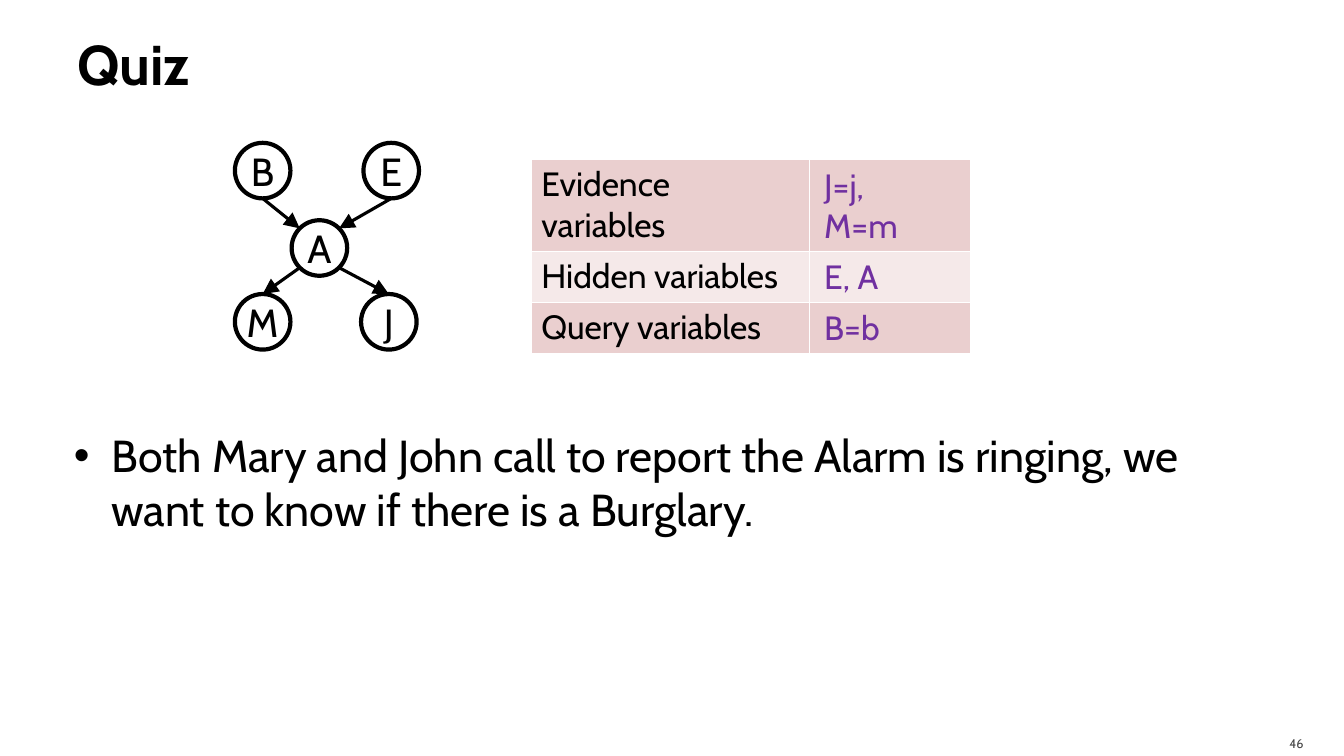
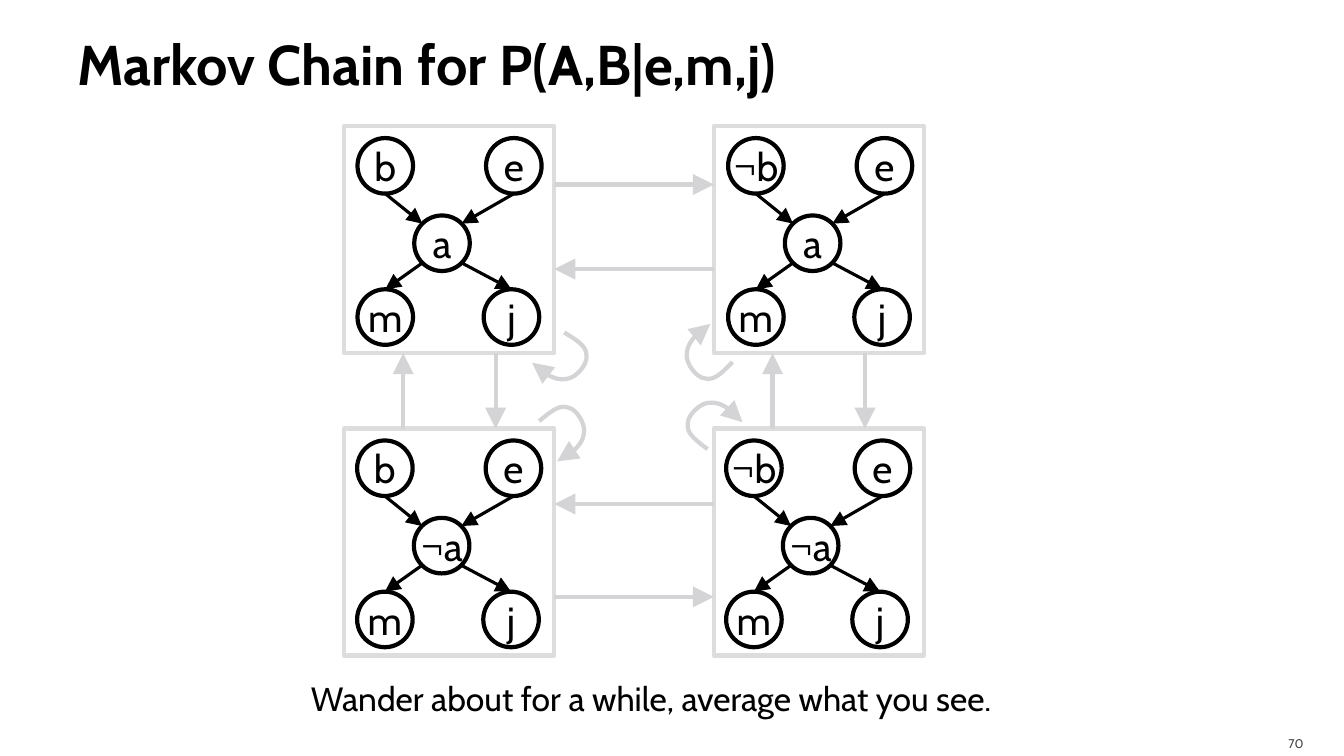
from itertools import accumulate
from math import sqrt

from lxml import etree
from pptx import Presentation
from pptx.dml.color import RGBColor
from pptx.enum import shapes, text
from pptx.oxml.ns import qn
from pptx.util import Cm, Pt

FONT = "Cabin"
HUES = {
    "ink": "000000", "page": "454545", "answer": "7030A0",
    "frame": "DDDDDD", "move": "D4D4D6", "white": "FFFFFF",
    "dark": "EACFCF", "light": "F5E9E9",
}
NODE = 1.4
SPOTS = [(0, 0), (3.24, 0), (1.43, 1.95), (0, 3.81), (3.18, 3.81)]
LOOP = [(0.81, 0), (1.25, 0.26), (1.37, 0.38), (1.37, 0.59), (1.4, 0.79),
        (1.12, 1.15), (0.86, 1.17), (0.64, 1.2), (0.08, 0.99), (0, 0.76)]
LEFT, ANCHOR = text.PP_ALIGN.LEFT, text.MSO_ANCHOR


def rgb(hue):
    return RGBColor.from_string(HUES[hue])


def size(*box):
    return [Cm(part) for part in box]


def write(frame, lines, pts, hue="ink", align=LEFT, bold=False):
    frame.text = lines
    for para in frame.paragraphs:
        para.alignment = align
        font = para.font
        font.name, font.size, font.bold = FONT, Pt(pts), bold
        font.color.rgb = rgb(hue)


def inset(frame, left, top, right, bottom):
    frame.margin_left, frame.margin_top = Cm(left), Cm(top)
    frame.margin_right, frame.margin_bottom = Cm(right), Cm(bottom)


def label(slide, box, lines, pts, **style):
    frame = slide.shapes.add_textbox(*size(*box)).text_frame
    frame.word_wrap = True
    write(frame, lines, pts, **style)
    return frame


def stroke(shape, hue, width):
    shape.line.color.rgb = rgb(hue)
    shape.line.width = Pt(width)


def point(shape):
    """Put a large arrowhead at the end of a line."""
    line = shape.element.spPr.find(qn("a:ln"))
    etree.SubElement(line, qn("a:tailEnd"), type="triangle", w="lg", len="lg")


def arrow(slide, start, end, hue, width):
    link = slide.shapes.add_connector(
        shapes.MSO_CONNECTOR.STRAIGHT, *size(*start, *end))
    stroke(link, hue, width)
    point(link)
    etree.SubElement(link.element.spPr, qn("a:effectLst"))


def outline(slide, kind, box, hue):
    shape = slide.shapes.add_shape(kind, *size(*box))
    shape.shadow.inherit = False
    shape.fill.background()
    stroke(shape, hue, 3)
    return shape


def net(slide, x, y, names):
    """Draw five nodes: two causes, the middle, two effects."""
    for name, (dx, dy) in zip(names, SPOTS):
        node = outline(slide, shapes.MSO_SHAPE.OVAL,
                       (x + dx, y + dy, NODE, NODE), "ink")
        frame = node.text_frame
        inset(frame, 0, 0, 0, 0)
        frame.word_wrap = False
        frame.vertical_anchor = ANCHOR.MIDDLE
        write(frame, name, 28, align=text.PP_ALIGN.CENTER)
    half = NODE / 2
    reach = half / sqrt(2)
    mid = [x + SPOTS[2][0] + half, y + SPOTS[2][1] + half]
    for spot, side in ((0, -1), (1, 1), (3, -1), (4, 1)):
        dx, dy = SPOTS[spot]
        rim = mid[0] + side * reach
        if spot < 2:
            ends = (x + dx + half, y + dy + NODE), (rim, mid[1] - reach)
        else:
            ends = (rim, mid[1] + reach), (x + dx + half, y + dy)
        arrow(slide, *ends, "ink", 2.25)


def loop(slide, x, y, turn):
    """Draw a curved arrow from a state back to itself."""
    dots = [(Cm(dx), Cm(dy)) for dx, dy in LOOP]
    pen = slide.shapes.build_freeform(*dots[0])
    pen.add_line_segments(dots[1:], close=False)
    curl = pen.convert_to_shape(Cm(x), Cm(y))
    trail = curl.element.find(".//" + qn("a:path"))
    steps = trail.findall(qn("a:lnTo"))
    for first in range(0, len(steps), 3):
        bend = etree.SubElement(trail, qn("a:cubicBezTo"))
        for step in steps[first:first + 3]:
            bend.append(step[0])
            trail.remove(step)
    curl.rotation = turn
    curl.shadow.inherit = False
    curl.fill.background()
    stroke(curl, "move", 3)
    point(curl)


def border(cell):
    props = cell._tc.get_or_add_tcPr()
    for side in "LRTB":
        line = etree.SubElement(props, qn("a:ln" + side), w=str(Pt(1)))
        fill = etree.SubElement(line, qn("a:solidFill"))
        etree.SubElement(fill, qn("a:srgbClr"), val=HUES["white"])


def roles(slide, x, y, rows):
    """Draw the table of variables with the answers laid over it."""
    wide, high = [7.01, 4.06], [2.31, 1.29, 1.29]
    grid = slide.shapes.add_table(
        len(rows), 2, *size(x, y, sum(wide), sum(high))).table
    grid.first_row = grid.horz_banding = False
    for col, width in zip(grid.columns, wide):
        col.width = Cm(width)
    tops = accumulate(high, initial=y)
    for i, ((role, answer), top) in enumerate(zip(rows, tops)):
        grid.rows[i].height = Cm(high[i])
        for cell in grid.rows[i].cells:
            border(cell)
            cell.fill.solid()
            cell.fill.fore_color.rgb = rgb("light" if i % 2 else "dark")
        write(grid.cell(i, 0).text_frame, role, 24)
        label(slide, (x + 7.13, top, 3.8, high[i]), answer, 24, hue="answer")


def bullet(slide, box, words):
    frame = label(slide, box, words, 32)
    inset(frame, 0.15, 0.25, 0.25, 0.13)
    para = frame.paragraphs[0]
    para.space_before = para.space_after = Pt(6)
    props = para._p.get_or_add_pPr()
    props.set("marL", str(Cm(0.96)))
    props.set("indent", str(Cm(-0.95)))
    fonts = props.find(qn("a:defRPr"))
    fonts.addprevious(etree.Element(qn("a:buFont"), typeface="Arial"))
    fonts.addprevious(etree.Element(qn("a:buChar"), char="•"))


def start(deck, title, page):
    slide = deck.slides.add_slide(deck.slide_layouts[5])
    head = slide.shapes.title
    head.left, head.top, head.width, head.height = size(1.7, 0.22, 30.48, 2.75)
    frame = head.text_frame
    frame.auto_size = text.MSO_AUTO_SIZE.NONE
    frame.vertical_anchor = ANCHOR.MIDDLE
    inset(frame, 0.25, 0.13, 0.13, 0.13)
    write(frame, title, 40, bold=True)
    foot = label(slide, (30.38, 18.29, 2.72, 0.76), page, 9,
                 hue="page", align=text.PP_ALIGN.RIGHT)
    foot.vertical_anchor = ANCHOR.MIDDLE
    inset(foot, 0.25, 0.13, 0.25, 0)
    return slide


def quiz(deck):
    slide = start(deck, "Quiz", "46")
    bullet(slide, (1.7, 10.54, 30.48, 7.67),
           "Both Mary and John call to report the Alarm is ringing, "
           "we want to know if there is a Burglary.")
    net(slide, 5.92, 3.6, "BEAMJ")
    roles(slide, 13.39, 4.02, [
        ("Evidence variables", "J=j,\nM=m"),
        ("Hidden variables", "E, A"),
        ("Query variables", "B=b"),
    ])


def chain(deck):
    slide = start(deck, "Markov Chain for P(A,B|e,m,j)", "70")
    wide, high = 5.29, 5.72
    west, east, north, south = 8.68, 17.99, 3.18, 10.8
    states = [(west, north, 0.33, "b", "a"), (east, north, 0.36, "¬b", "a"),
              (west, south, 0.32, "b", "¬a"), (east, south, 0.31, "¬b", "¬a")]
    for x, y, pad, cause, mid in states:
        net(slide, x + pad, y + 0.3, [cause, "e", mid, "m", "j"])
        outline(slide, shapes.MSO_SHAPE.RECTANGLE, (x, y, wide, high), "frame")
    near = west + wide
    for y in (4.65, 15.04):
        arrow(slide, (near, y), (east, y), "move", 3)
    for y in (6.78, 12.7):
        arrow(slide, (east, y), (near, y), "move", 3)
    for x in (west, east):
        down, up = x + 3.81, x + 1.48
        arrow(slide, (down, north + high), (down, south), "move", 3)
        arrow(slide, (up, south), (up, north + high), "move", 3)
    for x, y, turn in ((13.41, 8.38, 0), (17.2, 8.28, 103),
                       (17.3, 10.13, 185.5), (13.42, 10.31, 289)):
        loop(slide, x, y, turn)
    label(slide, (7.42, 16.97, 17.98, 1.27),
          "Wander about for a while, average what you see.", 24,
          align=text.PP_ALIGN.CENTER)


def main():
    deck = Presentation()
    deck.slide_width, deck.slide_height = size(33.87, 19.05)
    quiz(deck)
    chain(deck)
    deck.save("out.pptx")


if __name__ == "__main__":
    main()
